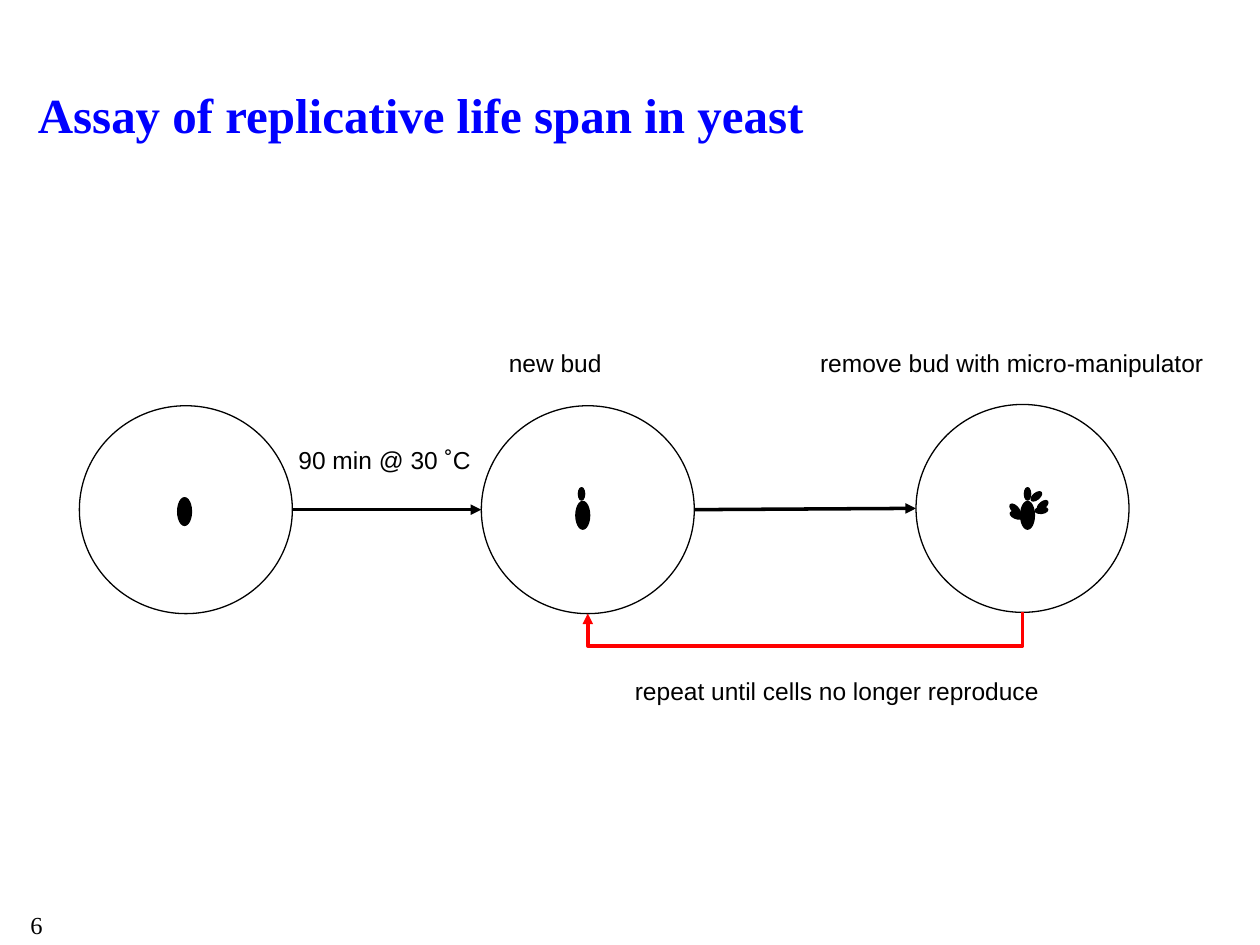
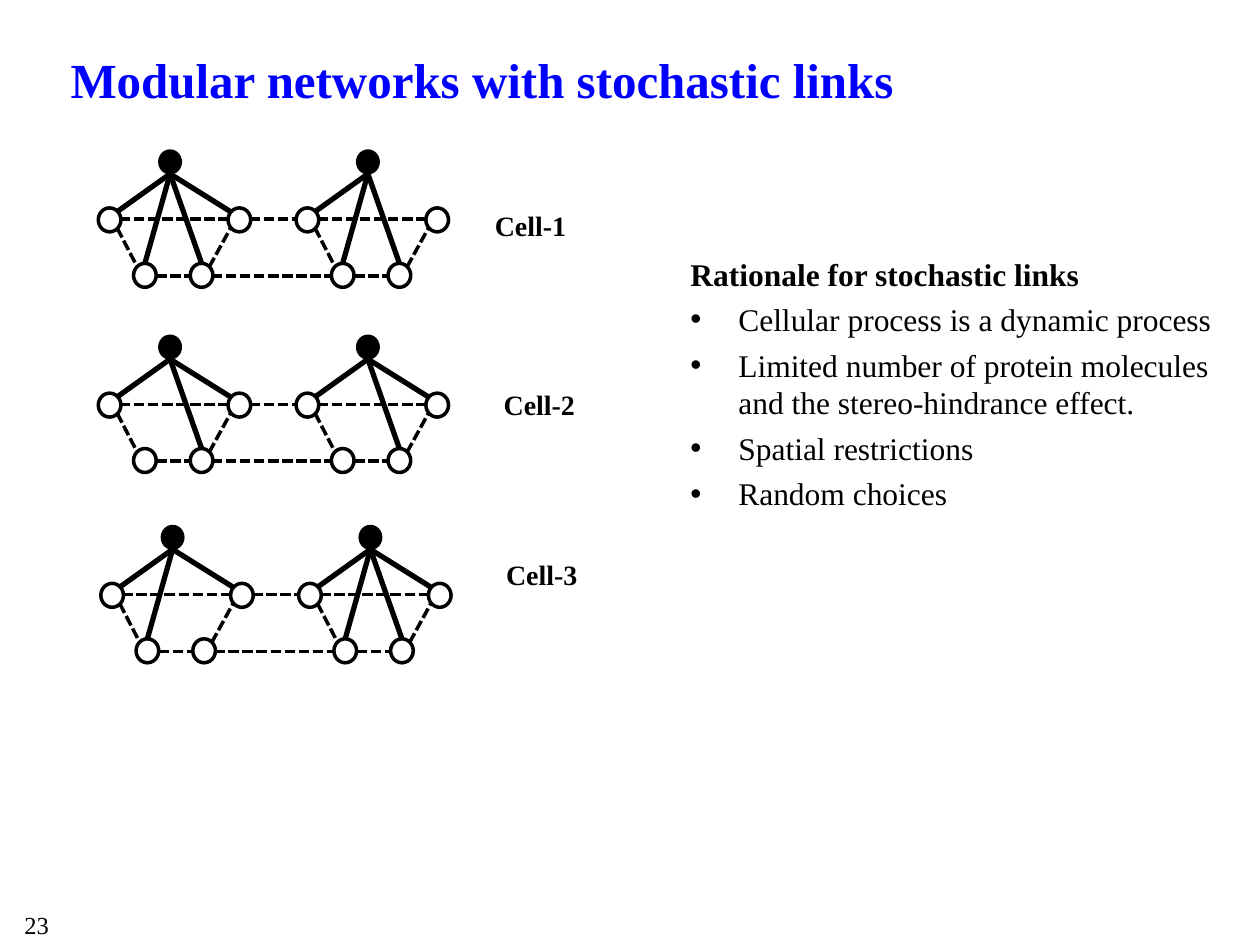
import pptx
import pptx.util
import pptx.dml.color
import pptx.enum.dml
import pptx.enum.shapes
import pptx.enum.text
import pptx.oxml
import pptx.oxml.ns
from dataclasses import dataclass
from lxml import etree

Inches, Pt = pptx.util.Inches, pptx.util.Pt
ALIGN = pptx.enum.text.PP_ALIGN
ANCHOR = pptx.enum.text.MSO_ANCHOR
CONNECTOR = pptx.enum.shapes.MSO_CONNECTOR
OVAL = pptx.enum.shapes.MSO_SHAPE.OVAL
qn = pptx.oxml.ns.qn


@dataclass(frozen=True)
class Theme:
    ink: str = "000000"
    paper: str = "FFFFFF"
    title: str = "0000FF"
    loop: str = "FF0000"
    serif: str = "Times New Roman"
    sans: str = "Arial"
    title_size: int = 28
    body_size: int = 18
    cell_size: int = 16
    label_size: int = 14
    thin: float = 0.75
    medium: float = 2
    thick: float = 3


T = Theme()

# Content: yeast assay (positions in inches)
ASSAY = {"title": "Assay of replicative life span in yeast", "number": "6"}
DISH_SIZE = (1.69, 1.65)
DISHES = [(0.63, 3.22), (3.82, 3.22), (7.27, 3.21)]
MOTHER_SIZE, BUD_SIZE = (0.11, 0.22), (0.05, 0.1)
MOTHERS = [(1.41, 3.95), (4.57, 3.98), (8.1, 3.98)]
BUDS = [  # left, top, rotation
    (4.59, 3.87, 0), (8.13, 3.87, 0), (8.03, 3.99, 314.9), (8.25, 3.96, 51),
    (8.2, 3.89, 51), (8.24, 4, 84.7), (8.04, 4.04, 292.8),
]
ASSAY_LABELS = [  # text, left, top, width, wraps
    ("90 min @ 30 ˚C", 2.27, 3.48, 1.62, False),
    ("new bud", 3.94, 2.71, 1.44, True),
    ("remove bud with micro-manipulator", 6.41, 2.71, 3.58, True),
    ("repeat until cells no longer reproduce", 4.94, 5.32, 3.69, True),
]
LOOP_DROP = 0.27

# Content: modular networks
NETWORKS = {"title": "Modular networks with stochastic links", "number": "23"}
RATIONALE_HEAD = "Rationale for stochastic links"
RATIONALE = [
    "Cellular process is a dynamic process",
    "Limited number of protein molecules and the stereo-hindrance effect.",
    "Spatial restrictions",
    "Random choices",
]
CELLS = [  # name, network origin, label position, solid links of each module
    ("Cell-1", (0.78, 1.19), (3.82, 1.61), [("L", "BL", "BR", "R"), ("L", "BL", "BR")]),
    ("Cell-2", (0.78, 2.66), (3.89, 3.03), [("L", "BR", "R"), ("L", "BR", "R")]),
    ("Cell-3", (0.8, 4.17), (3.91, 4.38), [("L", "BL", "R"), ("L", "BL", "BR", "R")]),
]
# One module, relative to its origin
MODULE_STEP = 1.57
NODE_SIZE = (0.18, 0.19)
HUB = (0.48, 0)
NODES = [(0, 0.46), (1.03, 0.46), (0.28, 0.9), (0.73, 0.9)]
HUB_FOOT = (0.57, 0.19)
LINK_ENDS = {"L": (0.15, 0.49), "BL": (0.37, 0.9), "BR": (0.82, 0.9), "R": (1.05, 0.49)}
RING = [
    ((0.88, 0.93), (1.05, 0.62)), ((0.46, 1), (0.73, 1)),
    ((0.17, 0.55), (1.03, 0.55)), ((0.15, 0.62), (0.31, 0.93)),
]
BRIDGES = [((1.2, 0.55), (1.57, 0.55)), ((0.9, 1), (1.85, 1))]


# Helpers
def rgb(value):
    return pptx.dml.color.RGBColor.from_string(value)


def shift(point, origin):
    return point[0] + origin[0], point[1] + origin[1]


def place(sp, left, top, width, height):
    sp.left, sp.top, sp.width, sp.height = map(Inches, (left, top, width, height))


def write(p, text, size=T.label_size, font=T.serif, color=T.ink, bold=False, align=ALIGN.LEFT):
    p.alignment = align
    r = p.add_run()
    r.text = text
    r.font.size, r.font.name, r.font.bold = Pt(size), font, bold
    r.font.color.rgb = rgb(color)


def text_box(s, text, left, top, width, height=0.33, wrap=True, **fmt):
    tf = s.shapes.add_textbox(*map(Inches, (left, top, width, height))).text_frame
    tf.word_wrap = wrap
    write(tf.paragraphs[0], text, **fmt)


def oval(s, at, size, fill=None, width=T.thin, rotation=0):
    sp = s.shapes.add_shape(OVAL, *map(Inches, (*at, *size)))
    sp.shadow.inherit = False
    sp.rotation = rotation
    if fill:
        sp.fill.solid()
        sp.fill.fore_color.rgb = rgb(fill)
    else:
        sp.fill.background()
    sp.line.color.rgb = rgb(T.ink)
    sp.line.width = Pt(width)


def line(s, start, end, width=T.medium, color=T.ink, dashed=False, arrow=False,
         kind=CONNECTOR.STRAIGHT):
    cxn = s.shapes.add_connector(kind, *map(Inches, (*start, *end)))
    cxn.line.color.rgb = rgb(color)
    cxn.line.width = Pt(width)
    if dashed:
        cxn.line.dash_style = pptx.enum.dml.MSO_LINE.SQUARE_DOT
    spPr = cxn._element.spPr
    if arrow:
        etree.SubElement(spPr.find(qn("a:ln")), qn("a:tailEnd"), type="triangle")
    etree.SubElement(spPr, qn("a:effectLst"))
    return cxn


def loop_back(s, start, end, drop):
    """Elbow that leaves downwards, runs across and returns upwards."""
    rise, run = round(end[1] - start[1], 2), start[0] - end[0]
    left = (start[0] + end[0] - rise) / 2
    top = (start[1] + end[1] - run) / 2
    cxn = line(s, (left, top), (left + rise, top + run), color=T.loop, arrow=True,
               kind=CONNECTOR.ELBOW)
    spPr = cxn._element.spPr
    spPr.find(qn("a:xfrm")).set("rot", "5400000")
    guides = spPr.find(qn("a:prstGeom")).get_or_add_avLst()
    etree.SubElement(guides, qn("a:gd"), name="adj1", fmla=f"val {round(drop / rise * 100000)}")


def new_slide(prs, layout, content, box, bottom_inset=0.05):
    s = prs.slides.add_slide(prs.slide_layouts[layout])
    place(s.shapes.title, *box)
    tf = s.shapes.title.text_frame
    tf.auto_size = pptx.enum.text.MSO_AUTO_SIZE.NONE
    tf.vertical_anchor = ANCHOR.MIDDLE
    tf.margin_bottom = Inches(bottom_inset)
    write(tf.paragraphs[0], content["title"], size=T.title_size, color=T.title, bold=True)
    text_box(s, content["number"], -0.45, 7.17, 1.48, align=ALIGN.CENTER)
    return s


# Slides
def assay_slide(prs):
    s = new_slide(prs, 5, ASSAY, (0.2, 0.28, 9.8, 1.25))
    w, h = DISH_SIZE
    for dish in DISHES:
        oval(s, dish, DISH_SIZE, fill=T.paper)
    for before, after in zip(DISHES, DISHES[1:]):
        line(s, shift(before, (w, h / 2)), shift(after, (0, h / 2)), arrow=True)
    loop_back(s, shift(DISHES[2], (w / 2, h)), shift(DISHES[1], (w / 2, h)), LOOP_DROP)
    for mother in MOTHERS:
        oval(s, mother, MOTHER_SIZE, fill=T.ink)
    for left, top, rotation in BUDS:
        oval(s, (left, top), BUD_SIZE, fill=T.ink, rotation=rotation)
    for text, left, top, width, wrap in ASSAY_LABELS:
        text_box(s, text, left, top, width, wrap=wrap, font=T.sans)


def draw_module(s, origin, links):
    oval(s, shift(HUB, origin), NODE_SIZE, fill=T.ink)
    for node in NODES:
        oval(s, shift(node, origin), NODE_SIZE, width=T.medium)
    for link in links:
        line(s, shift(HUB_FOOT, origin), shift(LINK_ENDS[link], origin), width=T.thick)
    for start, end in RING:
        line(s, shift(start, origin), shift(end, origin), dashed=True)


def rationale_list(s):
    body = s.placeholders[1]
    place(body, 5.38, 1.94, 4.62, 3.02)
    tf = body.text_frame
    tf.auto_size = pptx.enum.text.MSO_AUTO_SIZE.NONE
    tf.margin_top = Inches(0.08)
    for i, text in enumerate([RATIONALE_HEAD, *RATIONALE]):
        p = tf.add_paragraph() if i else tf.paragraphs[0]
        p.space_before = Pt(4.4 if i else 0)
        pPr = p._p.get_or_add_pPr()
        pPr.set("marL", str(Inches(0.38)))
        pPr.set("indent", str(Inches(-0.38)))
        if i:
            etree.SubElement(pPr, qn("a:buChar"), char="•")
        else:
            etree.SubElement(pPr, qn("a:buNone"))
        write(p, text, size=T.body_size, bold=i == 0)


def networks_slide(prs):
    s = new_slide(prs, 1, NETWORKS, (0.46, 0.22, 8.5, 1.25), bottom_inset=0.48)
    rationale_list(s)
    for name, origin, label, modules in CELLS:
        for i, links in enumerate(modules):
            draw_module(s, shift(origin, (i * MODULE_STEP, 0)), links)
        for start, end in BRIDGES:
            line(s, shift(start, origin), shift(end, origin), dashed=True)
        text_box(s, name, *label, 0.78, 0.37, wrap=False, size=T.cell_size, bold=True,
                 align=ALIGN.CENTER)


def main():
    prs = pptx.Presentation()
    prs.slide_width, prs.slide_height = Inches(10), Inches(7.5)
    assay_slide(prs)
    networks_slide(prs)
    prs.save("out.pptx")


if __name__ == "__main__":
    main()
